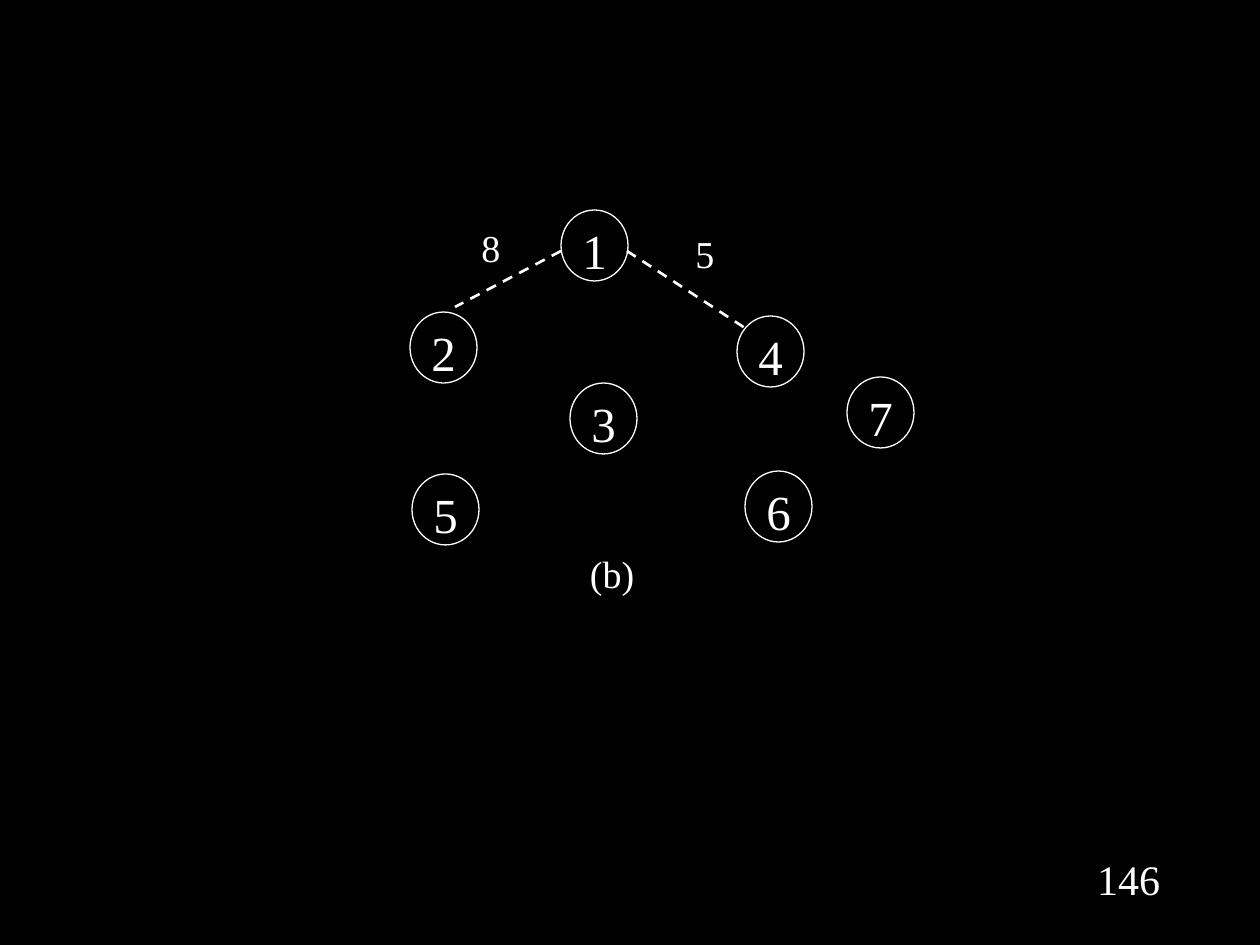
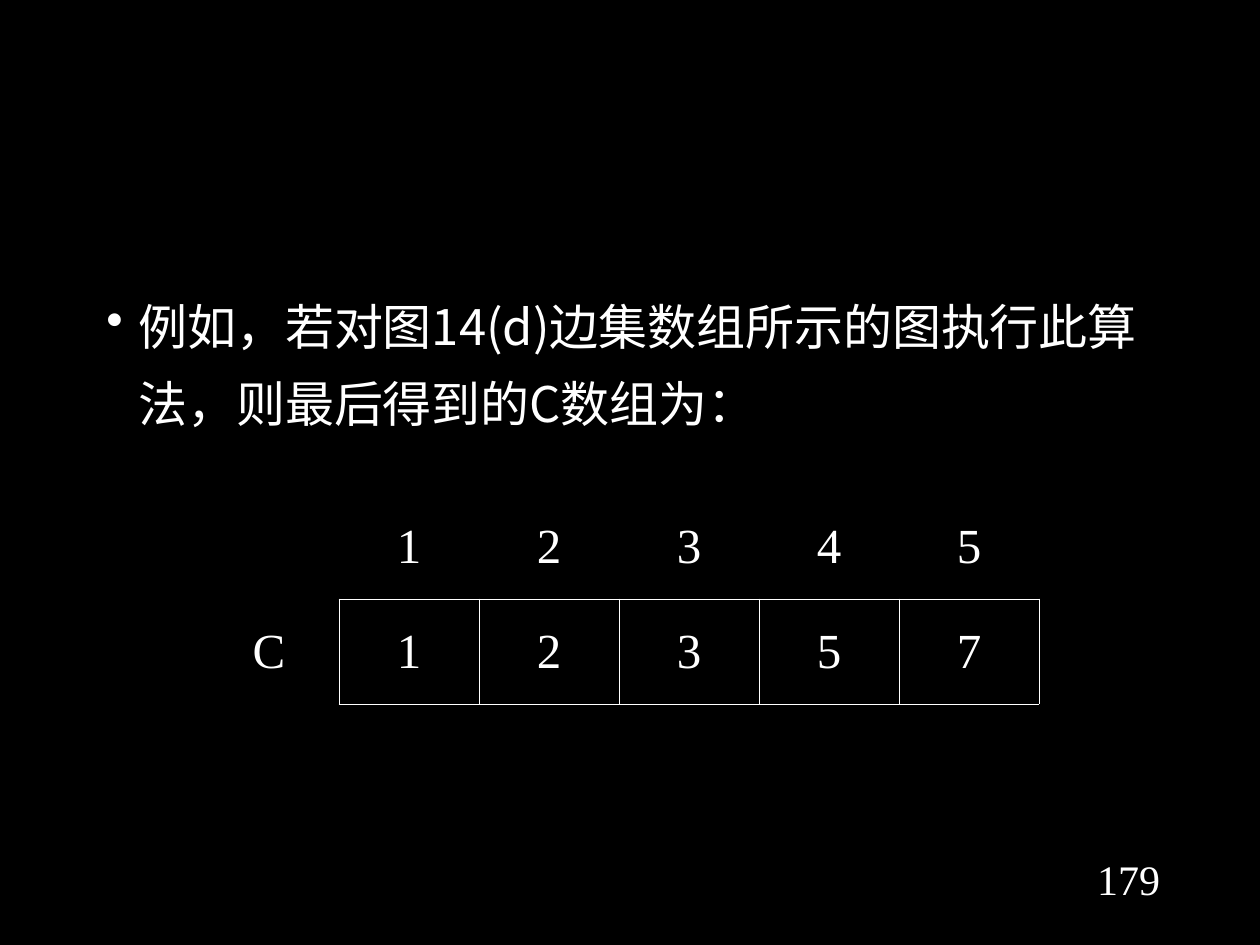
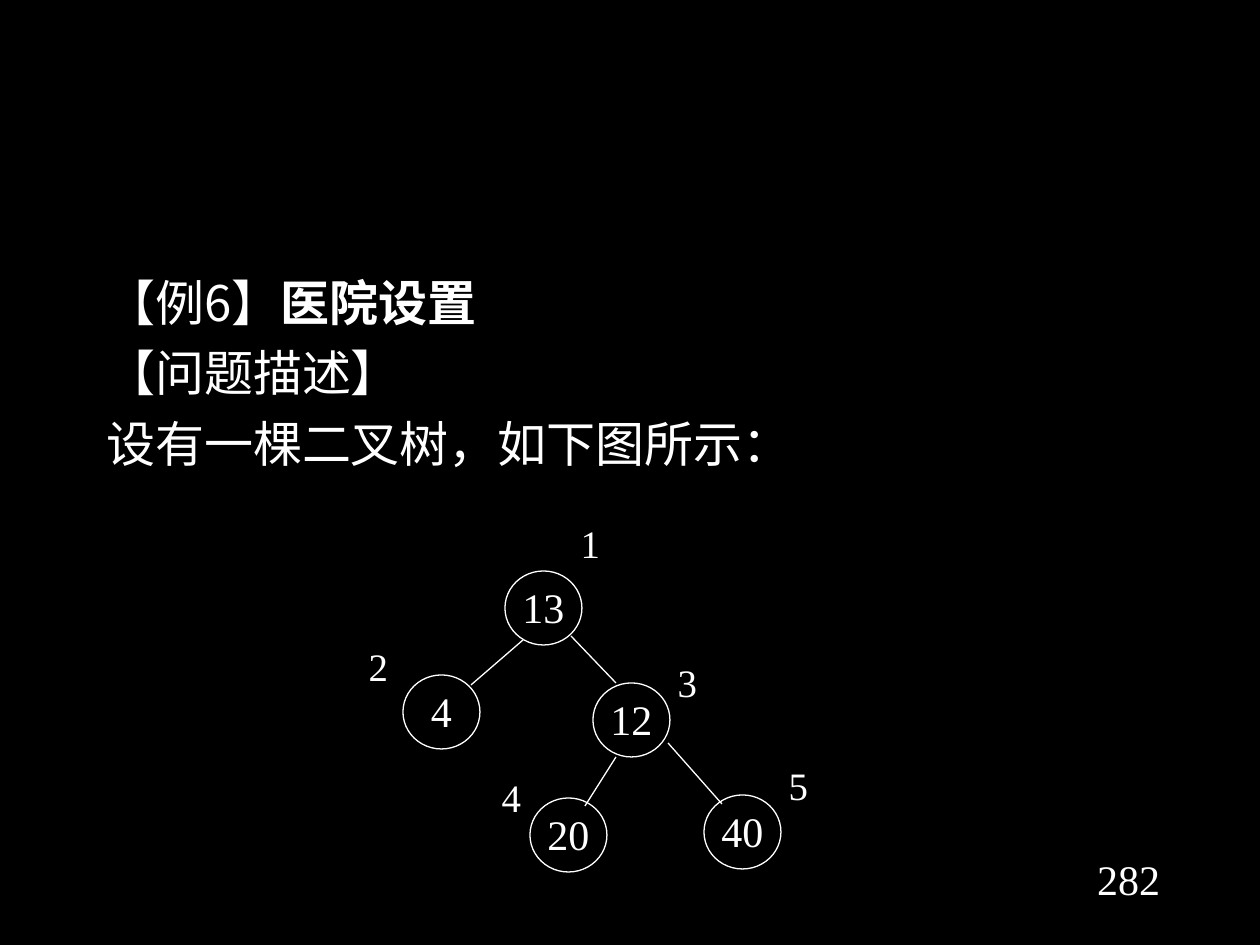
from lxml import etree
from pptx import Presentation
from pptx import util as u
from pptx.dml.color import RGBColor
from pptx.enum import dml, shapes, text
from pptx.oxml import parse_xml
from pptx.oxml.ns import nsdecls, qn

PX = 914400 / 126
WHITE, BLACK = "FFFFFF", "000000"
SERIF, SANS = "Times New Roman", "Noto Sans CJK SC"
CENTER = text.PP_ALIGN.CENTER


def px(*lengths):
    return [u.Emu(round(length * PX)) for length in lengths]


def color(hex_code):
    return RGBColor.from_string(hex_code)


def style_runs(paragraph, size, face):
    for run in paragraph.runs:
        run.font.size = u.Pt(size)
        run.font.name = face
        run.font.color.rgb = color(WHITE)
        east_asian = etree.SubElement(run.font._element, qn("a:ea"))
        east_asian.set("typeface", face)


def set_margins(frame, side, end):
    frame.margin_left, frame.margin_right = px(side, side)
    frame.margin_top, frame.margin_bottom = px(end, end)


def write_centered(frame, words, size, spacing=1.0):
    frame.word_wrap = True
    frame.text = words
    paragraph = frame.paragraphs[0]
    paragraph.alignment = CENTER
    paragraph.line_spacing = spacing
    style_runs(paragraph, size, SERIF)


def add_label(slide, box, words, size, spacing):
    frame = slide.shapes.add_textbox(*px(*box)).text_frame
    set_margins(frame, 0, 0)
    write_centered(frame, words, size, spacing)


def add_node(slide, box, words, size):
    node = slide.shapes.add_shape(shapes.MSO_SHAPE.OVAL, *px(*box))
    node.shadow.inherit = False
    node.fill.background()
    node.line.color.rgb = color(WHITE)
    node.line.width = u.Pt(0.75)
    set_margins(node.text_frame, 0, 0)
    node.text_frame.vertical_anchor = text.MSO_ANCHOR.TOP
    write_centered(node.text_frame, words, size)


def add_edge(slide, ends, width, dashed):
    edge = slide.shapes.add_connector(shapes.MSO_CONNECTOR.STRAIGHT, *px(*ends))
    edge.line.color.rgb = color(WHITE)
    edge.line.width = u.Pt(width)
    if dashed:
        edge.line.dash_style = dml.MSO_LINE.DASH
    etree.SubElement(edge._element.spPr, qn("a:effectLst"))


def draw_graph(slide, origin, nodes, node_size, node_pt, labels, label_pt,
               label_spacing, edges, edge_width, dashed=False):
    """Draw nodes, edges and labels at offsets from the origin."""
    left, top = origin
    for words, x, y, width, height in labels:
        add_label(slide, (left + x, top + y, width, height), words,
                  label_pt, label_spacing)
    for words, x, y in nodes:
        add_node(slide, (left + x, top + y, *node_size), words, node_pt)
    for x1, y1, x2, y2 in edges:
        add_edge(slide, (left + x1, top + y1, left + x2, top + y2),
                 edge_width, dashed)


def add_body(slide, box, paragraphs, spacing, align=None, bullet=False):
    """Each paragraph is a list of (words, bold) pieces."""
    frame = slide.shapes.add_textbox(*px(*box)).text_frame
    frame.word_wrap = True
    for index, pieces in enumerate(paragraphs):
        paragraph = frame.add_paragraph() if index else frame.paragraphs[0]
        properties = paragraph._p.get_or_add_pPr()
        indent = px(32)[0]
        properties.set("marL", str(indent))
        properties.set("indent", str(-indent))
        if bullet:
            etree.SubElement(properties, qn("a:buChar")).set("char", "•")
        paragraph.line_spacing = spacing
        if index:
            paragraph.space_before = u.Pt(10)
        if align:
            paragraph.alignment = align[index]
        for words, bold in pieces:
            run = paragraph.add_run()
            run.text = words
            run.font.bold = bold
        style_runs(paragraph, 28, SANS)


def set_border(cell, side, visible):
    fill = (f'<a:solidFill><a:srgbClr val="{WHITE}"/></a:solidFill>'
            if visible else "<a:noFill/>")
    width = u.Pt(0.45) if visible else 0
    return parse_xml(f'<a:{side} {nsdecls("a")} w="{width}">{fill}</a:{side}>')


def add_array(slide, box, rows):
    """Index row above a bordered row of values, with the name at left."""
    table = slide.shapes.add_table(len(rows), len(rows[0]), *px(*box)).table
    table.first_row = table.horz_banding = False
    for r, row in enumerate(rows):
        for c, words in enumerate(row):
            cell = table.cell(r, c)
            cell.vertical_anchor = text.MSO_ANCHOR.MIDDLE
            write_centered(cell.text_frame, words, 28)
            boxed = r == 1 and c > 0
            visible = {
                "lnL": boxed,
                "lnR": r == 1,
                "lnT": boxed,
                "lnB": c > 0,
            }
            properties = cell._tc.get_or_add_tcPr()
            for side, shown in visible.items():
                properties.append(set_border(cell, side, shown))
            cell.fill.background()


def add_slide(deck, number):
    slide = deck.slides.add_slide(deck.slide_layouts[6])
    frame = slide.shapes.add_textbox(*px(1081, 848, 95, 63)).text_frame
    set_margins(frame, 12, 6)
    write_centered(frame, number, 24)
    return slide


def build_spanning_tree(deck):
    draw_graph(
        add_slide(deck, "146"), (410, 210),
        nodes=[("1", 151, 0), ("2", 0, 102), ("7", 437, 167), ("4", 327, 106),
               ("5", 2, 264), ("3", 160, 173), ("6", 335, 261)],
        node_size=(67, 71), node_pt=28,
        labels=[("5", 265, 29, 60, 47), ("8", 51, 23, 60, 47),
                ("(b)", 149, 349, 106, 50)],
        label_pt=21.7, label_spacing=0.8,
        edges=[(151, 41, 45, 97), (217, 41, 335, 118)],
        edge_width=1.5, dashed=True)


def build_edge_array(deck):
    slide = add_slide(deck, "179")
    example = "例如，若对图14(d)边集数组所示的图执行此算法，则最后得到的C数组为："
    add_body(slide, (94, 273, 1071, 189), [[(example, False)]], 1.3, bullet=True)
    add_array(slide, (199, 494, 840, 210),
              [["", "1", "2", "3", "4", "5"], ["C", "1", "2", "3", "5", "7"]])


def build_hospital_problem(deck):
    slide = add_slide(deck, "282")
    justify = text.PP_ALIGN.JUSTIFY
    add_body(slide, (94, 273, 1071, 231),
             [[("【例6】", False), ("医院设置", True)],
              [("【问题描述】", False)],
              [("设有一棵二叉树，如下图所示：", False)]],
             0.9, align=[justify, justify, text.PP_ALIGN.LEFT])
    spots = [("1", 212, 0), ("2", 0, 123), ("3", 309, 139),
             ("4", 133, 254), ("5", 420, 242)]
    draw_graph(
        slide, (347, 525),
        nodes=[("13", 158, 46), ("4", 56, 150), ("12", 246, 158),
               ("20", 183, 273), ("40", 357, 270)],
        node_size=(77, 74), node_pt=24,
        labels=[(*spot, 63, 47) for spot in spots],
        label_pt=22.2, label_spacing=0.9,
        edges=[(176, 115, 124, 160), (224, 111, 269, 158),
               (269, 232, 238, 281), (321, 218, 375, 279)],
        edge_width=0.75)


def main():
    deck = Presentation()
    deck.slide_width, deck.slide_height = px(1260, 945)
    background = deck.slide_master.background.fill
    background.solid()
    background.fore_color.rgb = color(BLACK)
    for build in (build_spanning_tree, build_edge_array, build_hospital_problem):
        build(deck)
    deck.save("out.pptx")


if __name__ == "__main__":
    main()
